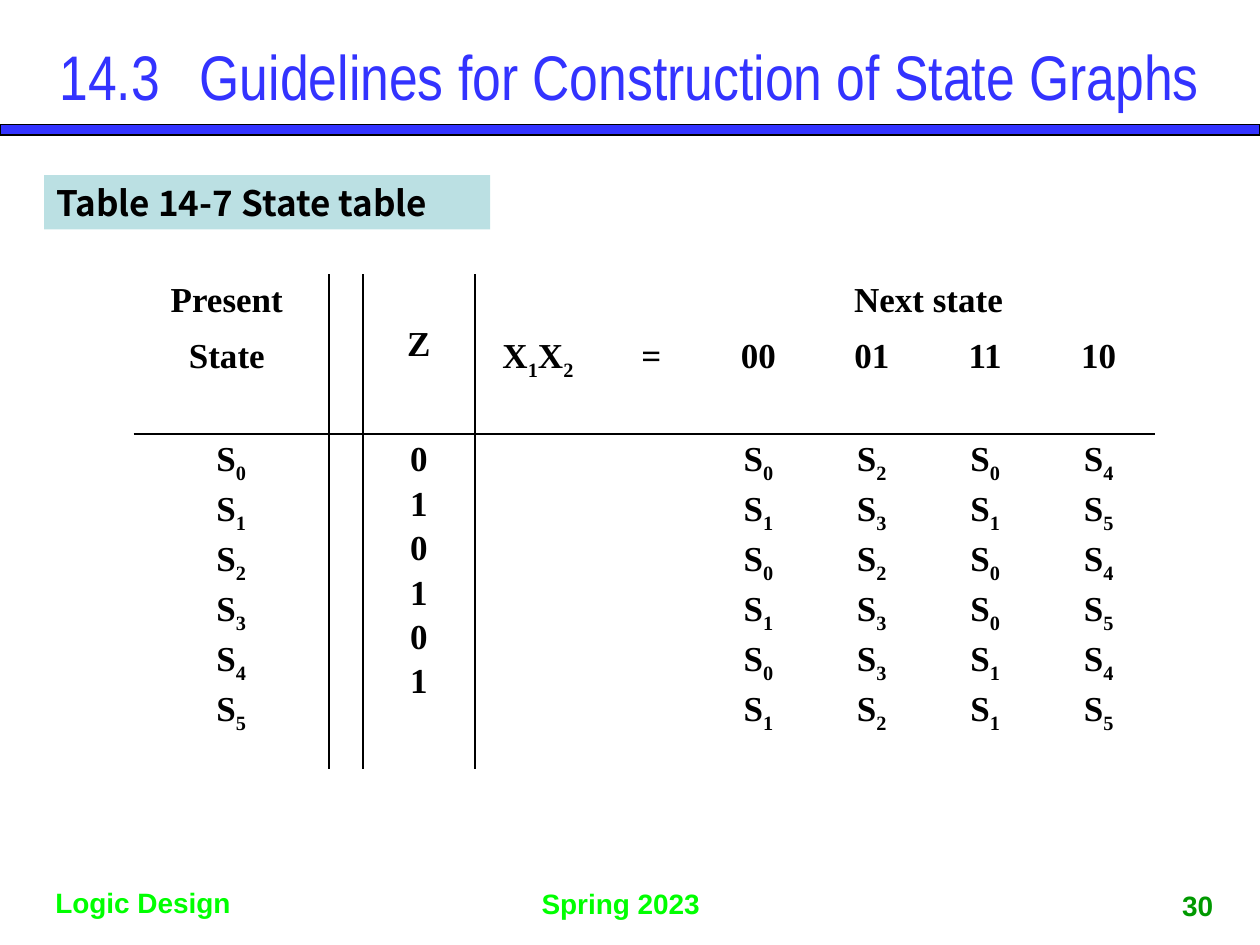
from itertools import groupby

from lxml.etree import SubElement
from pptx import Presentation
from pptx.dml.color import RGBColor
from pptx.enum.shapes import MSO_SHAPE
from pptx.enum.text import MSO_ANCHOR, MSO_AUTO_SIZE, PP_ALIGN
from pptx.oxml.ns import qn
from pptx.util import Pt

BLUE = RGBColor(0x33, 0x33, 0xFF)
TEAL = RGBColor(0xBB, 0xE0, 0xE3)
LIME = RGBColor(0x00, 0xFF, 0x00)
GREEN = RGBColor(0x00, 0x99, 0x00)
BLACK = RGBColor(0, 0, 0)

HEAD = {"name": "Arial Narrow", "size": Pt(36), "bold": False}
LABEL = {"name": "Noto Sans CJK KR", "size": Pt(20), "bold": True}
FOOT = {"name": "Arial", "size": Pt(16), "bold": True}
CELL = {"name": "Times New Roman", "size": Pt(20), "bold": True}

PLAIN = "{2D5ABB26-0587-4C30-8999-92F81FD0307C}"
WIDTHS = [111.6, 19.4, 64.1, 72, 57.6] + [64.8] * 4
HEIGHTS = [32.4, 58.9, 191.4]
TOP = {0: "Present ", 2: "Z", 5: "Next state"}
KEYS = {0: "State ", 3: "X1X2", 4: "=", 5: "00", 6: "01", 7: "11", 8: "10"}
STATES = {
    0: "S0 S1 S2 S3 S4 S5",
    2: "0 1 0 1 0 1",
    5: "S0 S1 S0 S1 S0 S1",
    6: "S2 S3 S2 S3 S3 S2",
    7: "S0 S1 S0 S0 S1 S1",
    8: "S4 S5 S4 S5 S4 S5",
}


def points(box):
    """Turn a box of numbers into lengths."""
    return [Pt(n) for n in box]


def write(para, text, form, color):
    """Add one formatted run to a paragraph."""
    run = para.add_run()
    run.text = text
    for key, value in form.items():
        setattr(run.font, key, value)
    run.font.color.rgb = color
    return run


def title(slide, box):
    """Place the title."""
    shape = slide.shapes.title
    shape.left, shape.top, shape.width, shape.height = points(box)
    frame = shape.text_frame
    frame.auto_size = MSO_AUTO_SIZE.NONE
    frame.vertical_anchor = MSO_ANCHOR.MIDDLE
    para = frame.paragraphs[0]
    para.alignment = PP_ALIGN.CENTER
    write(para, "14.3\t Guidelines for Construction of State Graphs", HEAD, BLUE)


def block(slide, box, color):
    """Draw a filled rectangle without outline."""
    shape = slide.shapes.add_shape(MSO_SHAPE.RECTANGLE, *points(box))
    shape.shadow.inherit = False
    shape.fill.solid()
    shape.fill.fore_color.rgb = color
    shape.line.fill.background()
    return shape


def rule(slide, box):
    """Draw the outlined bar under the title."""
    line = block(slide, box, BLUE).line
    line.color.rgb = BLACK
    line.width = Pt(0.75)


def label(slide, box):
    """Place the table caption."""
    frame = block(slide, box, TEAL).text_frame
    frame.word_wrap = True
    frame.vertical_anchor = MSO_ANCHOR.MIDDLE
    para = frame.paragraphs[0]
    para.alignment = PP_ALIGN.LEFT
    write(para, "Table 14-7 State table", LABEL, BLACK)


def footer(slide, box, text, color, align, anchor):
    """Place one footer text."""
    frame = slide.shapes.add_textbox(*points(box)).text_frame
    frame.word_wrap = True
    frame.vertical_anchor = anchor
    para = frame.paragraphs[0]
    para.alignment = align
    write(para, text, FOOT, color)


def fill(cell, lines):
    """Write centred lines, lowering digits that follow a letter."""
    frame = cell.text_frame
    for i, line in enumerate(lines):
        para = frame.add_paragraph() if i else frame.paragraphs[0]
        para.alignment = PP_ALIGN.CENTER
        para.space_before = Pt(3.2)
        for digit, part in groupby(line, str.isdigit):
            run = write(para, "".join(part), CELL, BLACK)
            if digit and line[0].isalpha():
                run.font._element.set("baseline", "-25000")


def border(cell, sides):
    """Draw black borders on the given sides and none on the others."""
    props = cell._tc.get_or_add_tcPr()
    for i, side in enumerate("LRTB"):
        edge = SubElement(props, qn("a:ln" + side), w=str(Pt(1)))
        props.remove(edge)
        props.insert(i, edge)
        if side in sides:
            paint = SubElement(edge, qn("a:solidFill"))
            SubElement(paint, qn("a:srgbClr"), val=str(BLACK))
        else:
            SubElement(edge, qn("a:noFill"))


def table(slide, box):
    """Build the state table."""
    frame = slide.shapes.add_table(len(HEIGHTS), len(WIDTHS), *points(box))
    grid = frame.table
    grid.first_row = grid.horz_banding = False
    grid._tbl.tblPr.find(qn("a:tableStyleId")).text = PLAIN
    for col, width in zip(grid.columns, WIDTHS):
        col.width = Pt(width)
    for row, height in zip(grid.rows, HEIGHTS):
        row.height = Pt(height)
    across = ["R", "LR", "LR", "L"] + [""] * 5
    for r, down in enumerate(["", "B", "T"]):
        for c, sides in enumerate(across):
            cell = grid.cell(r, c)
            cell.fill.background()
            border(cell, sides + ("B" if (r, c) == (0, 2) else down))
    for start, end in (((0, 2), (1, 2)), ((0, 3), (0, 4)), ((0, 5), (0, 8))):
        grid.cell(*start).merge(grid.cell(*end))
    for r, texts in enumerate((TOP, KEYS)):
        for c, text in texts.items():
            fill(grid.cell(r, c), [text])
    grid.cell(0, 2).margin_top = Pt(29)
    for c, text in STATES.items():
        fill(grid.cell(2, c), text.split())


def main():
    """Build and save the slide."""
    deck = Presentation()
    deck.slide_width, deck.slide_height = Pt(720), Pt(540)
    slide = deck.slides.add_slide(deck.slide_layouts[5])
    rule(slide, (0, 71.3, 720, 5.8))
    left, mid = PP_ALIGN.LEFT, PP_ALIGN.CENTER
    top, low = MSO_ANCHOR.TOP, MSO_ANCHOR.BOTTOM
    footer(slide, (302.4, 503.3, 114.5, 26.6), "Spring 2023", LIME, left, top)
    footer(slide, (19.4, 502.6, 124.6, 26.6), "Logic Design", LIME, mid, top)
    footer(slide, (657.4, 496.8, 54, 33.8), "30", GREEN, mid, low)
    title(slide, (19.4, 20.2, 680.4, 45.4))
    label(slide, (25.2, 100.1, 254.9, 31))
    table(slide, (76.3, 156.8, sum(WIDTHS), sum(HEIGHTS)))
    deck.save("out.pptx")


if __name__ == "__main__":
    main()
